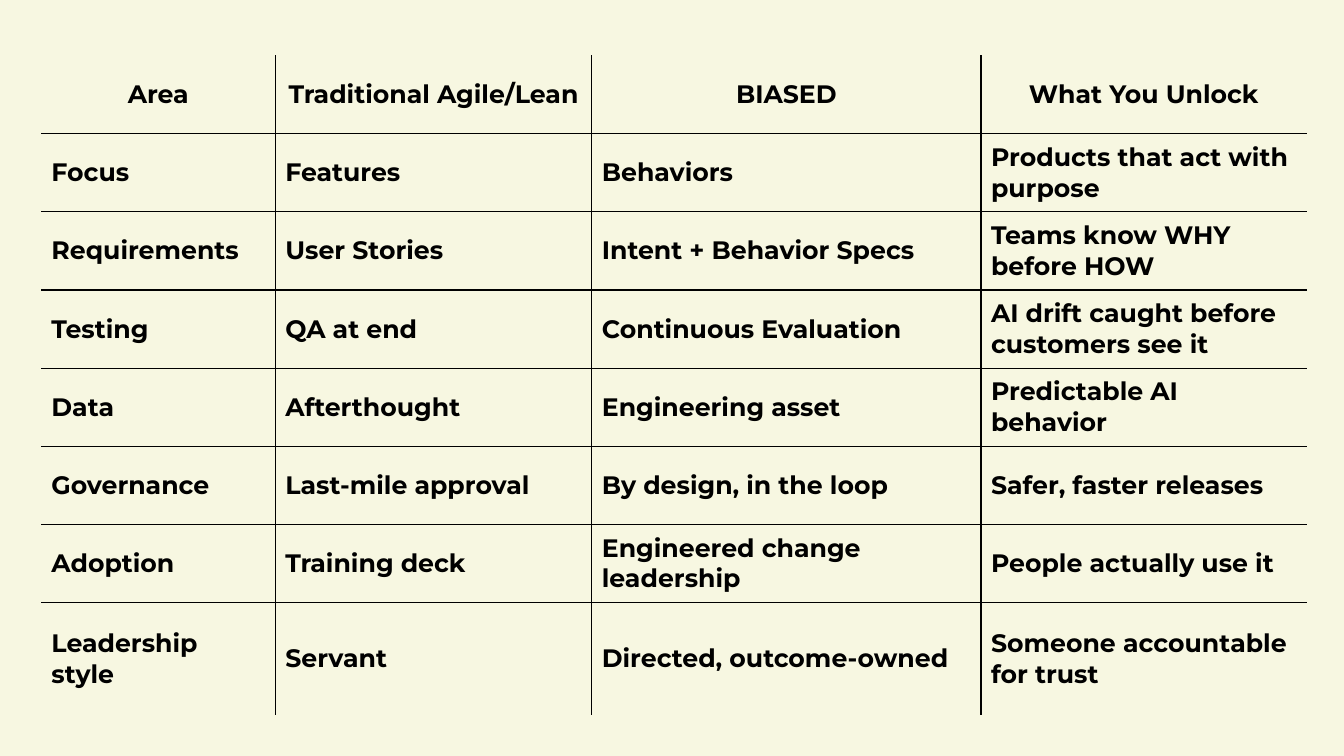
"""Build a slide with a table comparing Traditional Agile/Lean and BIASED."""
from lxml.etree import SubElement as Sub
from pptx import Presentation
from pptx.dml.color import RGBColor as RGB
from pptx.enum.text import MSO_ANCHOR as Anchor, PP_ALIGN as Align
from pptx.oxml.ns import qn
from pptx.util import Inches, Pt

HUES = {"page": "F7F7E1", "ink": "000000"}
FONT = "Montserrat"
WIDE = [2.32, 3.14, 3.86, 3.23]
HIGH = [5.43 / 7] * 7 + [1.11]
ROWS = [
    ["Area", "Traditional Agile/Lean", "BIASED", "What You Unlock"],
    ["Focus", "Features", "Behaviors", "Products that act with purpose"],
    ["Requirements", "User Stories", "Intent + Behavior Specs", "Teams know WHY before HOW"],
    ["Testing", "QA at end", "Continuous Evaluation", "AI drift caught before customers see it"],
    ["Data", "Afterthought", "Engineering asset", "Predictable AI behavior"],
    ["Governance", "Last-mile approval", "By design, in the loop", "Safer, faster releases"],
    ["Adoption", "Training deck", "Engineered change leadership", "People actually use it"],
    ["Leadership style", "Servant", "Directed, outcome-owned", "Someone accountable for trust"],
]


def edge(cell, side, shown):
    props = cell._tc.get_or_add_tcPr()
    line = Sub(props, qn(f"a:ln{side}"), w=str(Pt(1)))
    if shown:
        fill = Sub(line, qn("a:solidFill"))
        Sub(fill, qn("a:srgbClr"), val=HUES["ink"])
    else:
        Sub(line, qn("a:noFill"))


deck = Presentation()
deck.slide_width, deck.slide_height = Inches(13.33), Inches(7.5)
slide = deck.slides.add_slide(deck.slide_layouts[6])
back = slide.background.fill
back.solid()
back.fore_color.rgb = RGB.from_string(HUES["page"])

frame = slide.shapes.add_table(len(HIGH), len(WIDE), Inches(0.41), Inches(0.55),
                               Inches(sum(WIDE)), Inches(sum(HIGH)))
grid = frame.table
grid.first_row = grid.horz_banding = False
for col, width in zip(grid.columns, WIDE):
    col.width = Inches(width)
for row, height in zip(grid.rows, HIGH):
    row.height = Inches(height)

for r, words in enumerate(ROWS):
    for c, text in enumerate(words):
        cell = grid.cell(r, c)
        cell.vertical_anchor = Anchor.MIDDLE
        edge(cell, "L", c > 0)
        edge(cell, "R", c < len(WIDE) - 1)
        edge(cell, "T", r > 0)
        edge(cell, "B", r < len(HIGH) - 1)
        cell.fill.background()
        para = cell.text_frame.paragraphs[0]
        para.alignment = Align.LEFT if r else Align.CENTER
        run = para.add_run()
        run.text = text
        run.font.name, run.font.size, run.font.bold = FONT, Pt(18), True
        run.font.color.rgb = RGB.from_string(HUES["ink"])

deck.save("out.pptx")
